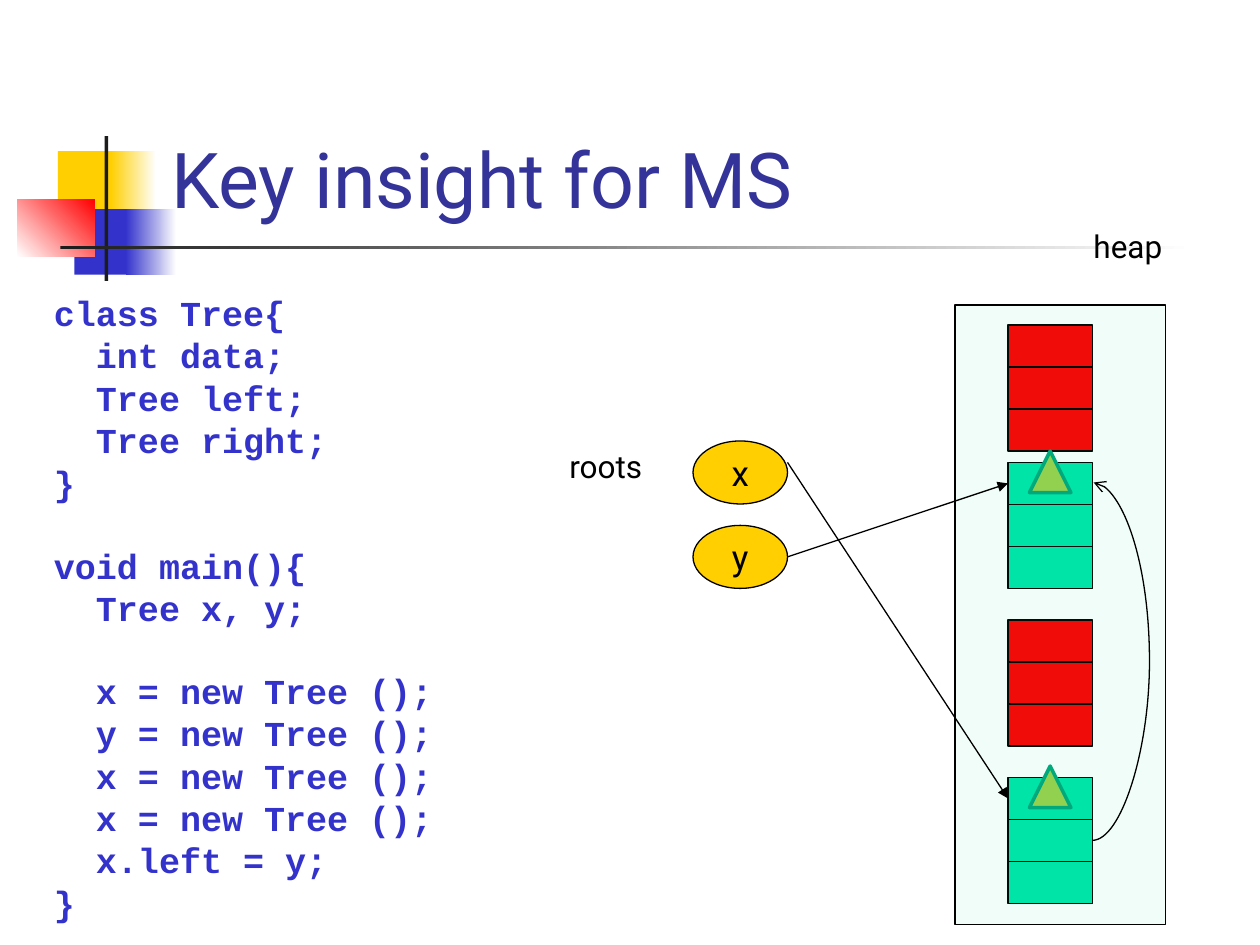
from lxml.etree import SubElement
from pptx import Presentation
from pptx.dml.color import RGBColor
from pptx.enum.shapes import MSO_CONNECTOR, MSO_SHAPE
from pptx.enum.text import MSO_ANCHOR, PP_ALIGN
from pptx.oxml.ns import qn
from pptx.util import Inches, Pt

CODE = """class Tree{
  int data;
  Tree left;
  Tree right;
}

void main(){
  Tree x, y;

  x = new Tree ();
  y = new Tree ();
  x = new Tree ();
  x = new Tree ();
  x.left = y;
}"""
RED, GREEN, YELLOW, BLUE = "FF0000", "00E4A8", "FFCF01", "3333CC"
WHITE, BLACK, DARK = "FFFFFF", "000000", "1C1C1C"
CELL_WIDTH, CELL_HEIGHT = 0.67, 1 / 3


def color(hex_string):
    return RGBColor.from_string(hex_string)


def add_filled(shapes, kind, box, fill, line=None, line_width=0.75):
    """Add a preset shape; box is left, top, width, height in inches."""
    shape = shapes.add_shape(kind, *[Inches(value) for value in box])
    shape.shadow.inherit = False
    shape.fill.solid()
    shape.fill.fore_color.rgb = color(fill)
    if line:
        shape.line.color.rgb = color(line)
        shape.line.width = Pt(line_width)
    else:
        shape.line.fill.background()
    return shape


presentation = Presentation()
presentation.slide_width = Inches(10)
presentation.slide_height = Inches(7.5)
slide = presentation.slides.add_slide(presentation.slide_layouts[6])
shapes = slide.shapes

# Corner ornament: box, start colour, end colour, gradient angle
ornament = [
    ((0.46, 1.2, 0.48, 0.52), YELLOW, None, 0),
    ((0.88, 1.2, 0.36, 0.52), YELLOW, WHITE, 0),
    ((0.59, 1.66, 0.46, 0.52), BLUE, None, 0),
    ((1, 1.66, 0.4, 0.52), BLUE, WHITE, 0),
    ((0.14, 1.58, 0.61, 0.46), WHITE, RED, 45),
    ((0.83, 1.08, 0.03, 1.15), DARK, None, 0),
    ((0.48, 1.95, 9, 0.03), DARK, WHITE, 0),
]
for box, start, end, angle in ornament:
    shape = add_filled(shapes, MSO_SHAPE.RECTANGLE, box, start)
    if end:
        shape.fill.gradient()
        shape.fill.gradient_angle = angle
        for stop, stop_color in zip(shape.fill.gradient_stops, (start, end)):
            stop.color.rgb = color(stop_color)

# Roots
root_x, root_y = [
    add_filled(shapes, MSO_SHAPE.OVAL, (5.5, top, 0.75, 0.5), YELLOW, BLACK)
    for top in (3.5, 4.17)
]

# Heap objects, each of three cells
block_tops = [2.58, 3.67, 4.92, 6.17]
first_cells = []
for top, fill in zip(block_tops, (RED, GREEN, RED, GREEN)):
    group = shapes.add_group_shape()
    cells = [
        add_filled(group.shapes, MSO_SHAPE.RECTANGLE,
                   (8, top + row * CELL_HEIGHT, CELL_WIDTH, CELL_HEIGHT), fill, BLACK)
        for row in range(3)
    ]
    first_cells.append(cells[0])

heap = add_filled(shapes, MSO_SHAPE.RECTANGLE, (7.58, 2.42, 1.67, 4.92), GREEN, BLACK)
heap_color = heap.fill._xPr.find(qn("a:solidFill"))[0]
SubElement(heap_color, qn("a:alpha"), val="6000")

# Pointers: connector type, start, end, target cell, arrowhead
pointers = [
    (MSO_CONNECTOR.STRAIGHT, (6.25, 4.42), (8, 3.83), first_cells[1], "triangle"),
    (MSO_CONNECTOR.STRAIGHT, (6.25, 3.67), (8, 6.33), first_cells[3], "triangle"),
    (MSO_CONNECTOR.CURVE, (8.67, 6.67), (8.68, 3.83), None, "arrow"),
]
for kind, start, end, target, arrowhead in pointers:
    connector = shapes.add_connector(kind, *[Inches(value) for value in start + end])
    connector.line.color.rgb = color(BLACK)
    connector.line.width = Pt(0.75)
    SubElement(connector.line._get_or_add_ln(), qn("a:tailEnd"), type=arrowhead)
    properties = connector._element.spPr
    SubElement(properties, qn("a:effectLst"))
    if target:
        connector.end_connect(target, 1)
    else:
        # The bulge is a multiple of the connector's small width
        adjustments = properties.find(qn("a:prstGeom")).get_or_add_avLst()
        SubElement(adjustments, qn("a:gd"), name="adj1", fmla="val 4600000")

# Marks on the reachable objects
for top in block_tops[1::2]:
    add_filled(shapes, MSO_SHAPE.ISOSCELES_TRIANGLE,
               (8.17, top - 0.09, 0.33, 0.33), "92D050", "00A97C", 2)

# Text
title, code, heap_label, roots_label = [
    shapes.add_textbox(*[Inches(value) for value in box])
    for box in ((1.26, 0.23, 8.52, 1.6), (0.33, 2.33, 3.87, 4.5),
                (8.58, 1.75, 0.75, 0.4), (4.42, 3.5, 1, 0.4))
]
labels = [
    (title, "Key insight for MS", 44, "333399", PP_ALIGN.LEFT, MSO_ANCHOR.BOTTOM, True),
    (root_x, "x", 20, BLACK, PP_ALIGN.CENTER, MSO_ANCHOR.MIDDLE, False),
    (root_y, "y", 20, BLACK, PP_ALIGN.CENTER, MSO_ANCHOR.MIDDLE, False),
    (heap_label, "heap", 18, BLACK, PP_ALIGN.LEFT, MSO_ANCHOR.TOP, False),
    (roots_label, "roots", 18, BLACK, PP_ALIGN.LEFT, MSO_ANCHOR.TOP, True),
]
for shape, text, size, text_color, alignment, anchor, wrap in labels:
    frame = shape.text_frame
    frame.word_wrap = wrap
    frame.vertical_anchor = anchor
    paragraph = frame.paragraphs[0]
    paragraph.text = text
    paragraph.alignment = alignment
    for name, value in {"name": "Roboto", "size": Pt(size)}.items():
        setattr(paragraph.font, name, value)
    paragraph.font.color.rgb = color(text_color)

code.text_frame.word_wrap = True
code_font = {"name": "Courier New", "size": Pt(20), "bold": True}
paragraph = code.text_frame.paragraphs[0]
for section_number, section in enumerate(CODE.split("\n\n")):
    for line_number, line in enumerate(section.split("\n")):
        if section_number or line_number:
            paragraph = code.text_frame.add_paragraph()
            paragraph.space_before = Pt(5 if line_number else 28.2)
        paragraph.line_spacing = 0.8
        paragraph.text = line
        for name, value in code_font.items():
            setattr(paragraph.font, name, value)
        paragraph.font.color.rgb = color(BLUE)

presentation.save("out.pptx")
